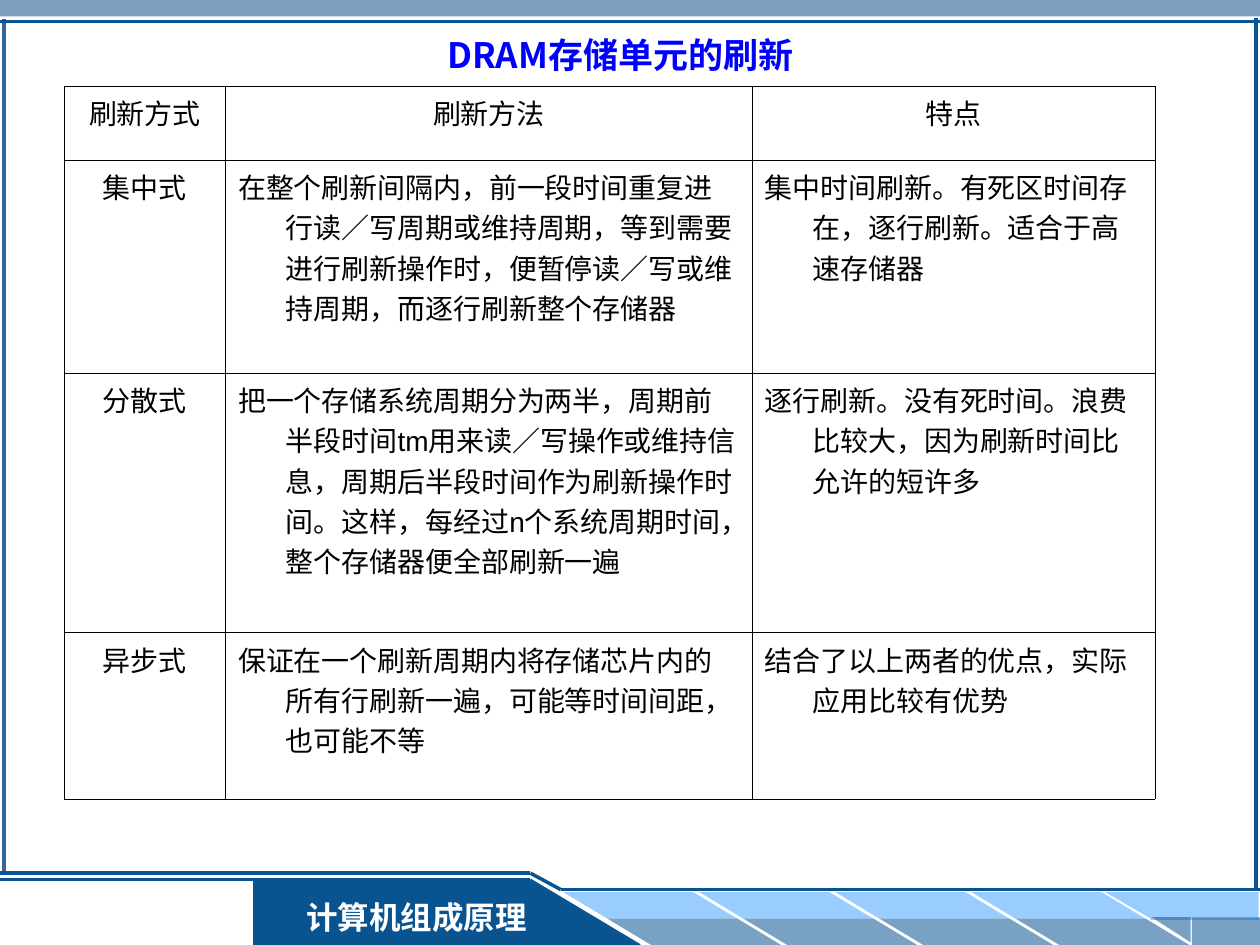
import pptx
import pptx.util
import pptx.dml.color
import pptx.enum.shapes
import pptx.enum.text
import pptx.oxml
import pptx.oxml.ns
from dataclasses import dataclass

Inches, Pt = pptx.util.Inches, pptx.util.Pt
Shape = pptx.enum.shapes.MSO_SHAPE
Align = pptx.enum.text.PP_ALIGN
Anchor = pptx.enum.text.MSO_ANCHOR


@dataclass(frozen=True)
class Theme:
    navy: str = "095391"
    steel: str = "336699"
    sky: str = "99CCFF"
    title: str = "0000FF"
    text: str = "000000"
    white: str = "FFFFFF"
    latin: str = "Arial"
    footer_latin: str = "Times New Roman"
    chinese: str = "Noto Sans CJK SC"
    title_size: int = 20
    footer_size: int = 18
    table_size: int = 16
    border: float = 0.06


THEME = Theme()
WIDTH, HEIGHT = 10, 7.5
TITLE = "DRAM存储单元的刷新"
FOOTER = "计算机组成原理"
ROWS = [
    ("刷新方式", "刷新方法", "特点"),
    ("集中式",
     "在整个刷新间隔内，前一段时间重复进行读／写周期或维持周期，等到需要进行刷新操作时，便暂停读／写或维持周期，而逐行刷新整个存储器",
     "集中时间刷新。有死区时间存在，逐行刷新。适合于高速存储器"),
    ("分散式",
     "把一个存储系统周期分为两半，周期前半段时间tm用来读／写操作或维持信息，周期后半段时间作为刷新操作时间。这样，每经过n个系统周期时间，整个存储器便全部刷新一遍",
     "逐行刷新。没有死时间。浪费比较大，因为刷新时间比允许的短许多"),
    ("异步式",
     "保证在一个刷新周期内将存储芯片内的所有行刷新一遍，可能等时间间距，也可能不等",
     "结合了以上两者的优点，实际应用比较有优势"),
]
TABLE_LEFT, TABLE_TOP = 0.51, 0.68
COLUMN_WIDTHS = (1.28, 4.18, 3.2)
ROW_HEIGHTS = (0.59, 1.69, 2.06, 1.32)

# Footer geometry: the tab slopes down to the right onto the striped band
TAB_TOP, TAB_LEFT, TAB_RIGHT = 6.98, 2.01, 4.21
RULE_TOP, BAND_TOP, BAND_MIDDLE = 6.93, 7.08, 7.29
STRIPE_LEFT, STRIPE_STEP, STRIPE_SLANT = 4.47, 1.08, 0.35
STRIPE_WIDTH, STRIPE_HEIGHT, STRIPE_COUNT = 1.38, 0.21, 4
STRIPE_ADJUST = 1.66
SHADE = 54  # opacity of the lower stripes, percent


def rgb(value):
    return pptx.dml.color.RGBColor.from_string(value)


def add_child(parent, tag, **attributes):
    child = pptx.oxml.parse_xml(f"<a:{tag} {pptx.oxml.ns.nsdecls('a')}/>")
    for name, value in attributes.items():
        child.set(name, str(value))
    parent.append(child)
    return child


def add_block(slide, kind, left, top, width, height, color, opacity=100, flip=""):
    shape = slide.shapes.add_shape(kind, *map(Inches, (left, top, width, height)))
    shape.shadow.inherit = False
    shape.line.fill.background()
    shape.fill.solid()
    shape.fill.fore_color.rgb = rgb(color)
    if opacity < 100:
        color_element = shape.fill._xPr.solidFill[0]
        add_child(color_element, "alpha", val=opacity * 1000)
    for axis in flip:
        shape._element.spPr.xfrm.set("flip" + axis, "1")
    return shape


def add_line(slide, start, end, width=2, color=THEME.navy):
    line = slide.shapes.add_connector(
        pptx.enum.shapes.MSO_CONNECTOR.STRAIGHT, *map(Inches, (*start, *end)))
    line.line.color.rgb = rgb(color)
    line.line.width = Pt(width)
    add_child(line._element.spPr, "effectLst")


def write(paragraph, text, size, color, latin, bold=False, align=Align.LEFT):
    paragraph.text = text
    paragraph.alignment = align
    font = paragraph.font
    font.size, font.bold, font.name = Pt(size), bold, latin
    font.color.rgb = rgb(color)
    add_child(font._element, "ea", typeface=THEME.chinese)


def add_footer(slide):
    add_block(slide, Shape.RECTANGLE, TAB_LEFT, TAB_TOP, TAB_RIGHT - TAB_LEFT,
              HEIGHT - TAB_TOP, THEME.navy)
    add_line(slide, (5.08, HEIGHT), (TAB_RIGHT, TAB_TOP), 1)
    add_line(slide, (TAB_RIGHT, TAB_TOP), (0, TAB_TOP), 1.5)
    add_line(slide, (0, RULE_TOP), (TAB_RIGHT, RULE_TOP))

    for index in range(STRIPE_COUNT):
        left = STRIPE_LEFT + index * STRIPE_STEP
        for offset, top, color, opacity in (
                (0, BAND_TOP, THEME.sky, 100),
                (STRIPE_SLANT, BAND_MIDDLE, THEME.navy, SHADE)):
            stripe = add_block(slide, Shape.PARALLELOGRAM, left + offset, top,
                               STRIPE_WIDTH, STRIPE_HEIGHT, color, opacity, "H")
            stripe.adjustments[0] = STRIPE_ADJUST

    for kind, left, top, width, height, color, opacity, flip in (
            (Shape.RECTANGLE, 9.13, BAND_TOP, 0.86, 0.22, THEME.sky, 100, ""),
            (Shape.RIGHT_TRIANGLE, 8.77, BAND_TOP, 0.38, 0.22, THEME.sky, 100, "HV"),
            (Shape.RECTANGLE, 9.46, 7.28, 0.54, 0.22, THEME.navy, SHADE, ""),
            (Shape.RIGHT_TRIANGLE, 9.14, 7.28, 0.31, 0.2, THEME.navy, SHADE, "HV")):
        add_block(slide, kind, left, top, width, height, color, opacity, flip)

    add_line(slide, (4.45, 7.06), (WIDTH, 7.06))
    label = add_block(slide, Shape.RECTANGLE, 2.28, BAND_TOP, 2.05, 0.4, THEME.navy)
    label.text_frame.vertical_anchor = Anchor.MIDDLE
    write(label.text_frame.paragraphs[0], FOOTER, THEME.footer_size, THEME.white,
          THEME.footer_latin, bold=True, align=Align.CENTER)
    add_block(slide, Shape.RIGHT_TRIANGLE, 4.2, TAB_TOP, 0.87, HEIGHT - TAB_TOP, THEME.navy)
    add_line(slide, (TAB_RIGHT, RULE_TOP), (4.45, 7.06))


def add_frame(slide):
    add_block(slide, Shape.RECTANGLE, 0, 0, WIDTH, 0.13, THEME.steel, 63)
    add_line(slide, (0.03, 0.15), (0.03, RULE_TOP), color=THEME.steel)
    add_footer(slide)
    add_line(slide, (0, 0.17), (WIDTH, 0.17))
    add_line(slide, (9.97, 0.14), (9.97, 7.07))


def format_cell(cell, text, centered):
    properties = cell._tc.get_or_add_tcPr()
    for side in ("lnL", "lnR", "lnT", "lnB"):
        border = add_child(properties, side, w=int(Pt(THEME.border)))
        add_child(add_child(border, "solidFill"), "srgbClr", val=THEME.text)
    cell.fill.background()
    paragraph = cell.text_frame.paragraphs[0]
    indent = paragraph._p.get_or_add_pPr()
    indent.set("marL", str(Inches(0.38)))
    indent.set("indent", str(-Inches(0.38)))
    add_child(indent, "buNone")
    write(paragraph, text, THEME.table_size, THEME.text, THEME.latin,
          align=Align.CENTER if centered else Align.LEFT)


def add_refresh_table(slide):
    table = slide.shapes.add_table(
        len(ROWS), len(COLUMN_WIDTHS), Inches(TABLE_LEFT), Inches(TABLE_TOP),
        Inches(sum(COLUMN_WIDTHS)), Inches(sum(ROW_HEIGHTS))).table
    table.first_row = table.horz_banding = False
    for column, width in zip(table.columns, COLUMN_WIDTHS):
        column.width = Inches(width)
    for row_index, (row, height) in enumerate(zip(table.rows, ROW_HEIGHTS)):
        row.height = Inches(height)
        for column_index, text in enumerate(ROWS[row_index]):
            format_cell(row.cells[column_index], text, row_index == 0 or column_index == 0)


def add_title(slide):
    frame = slide.shapes.add_textbox(*map(Inches, (3.45, 0.21, 3.12, 0.44))).text_frame
    frame.word_wrap = False
    frame.vertical_anchor = Anchor.MIDDLE
    write(frame.paragraphs[0], TITLE, THEME.title_size, THEME.title, THEME.chinese, bold=True)


def main():
    presentation = pptx.Presentation()
    presentation.slide_width, presentation.slide_height = Inches(WIDTH), Inches(HEIGHT)
    slide = presentation.slides.add_slide(presentation.slide_layouts[6])
    add_frame(slide)
    add_refresh_table(slide)
    add_title(slide)
    presentation.save("out.pptx")


if __name__ == "__main__":
    main()
